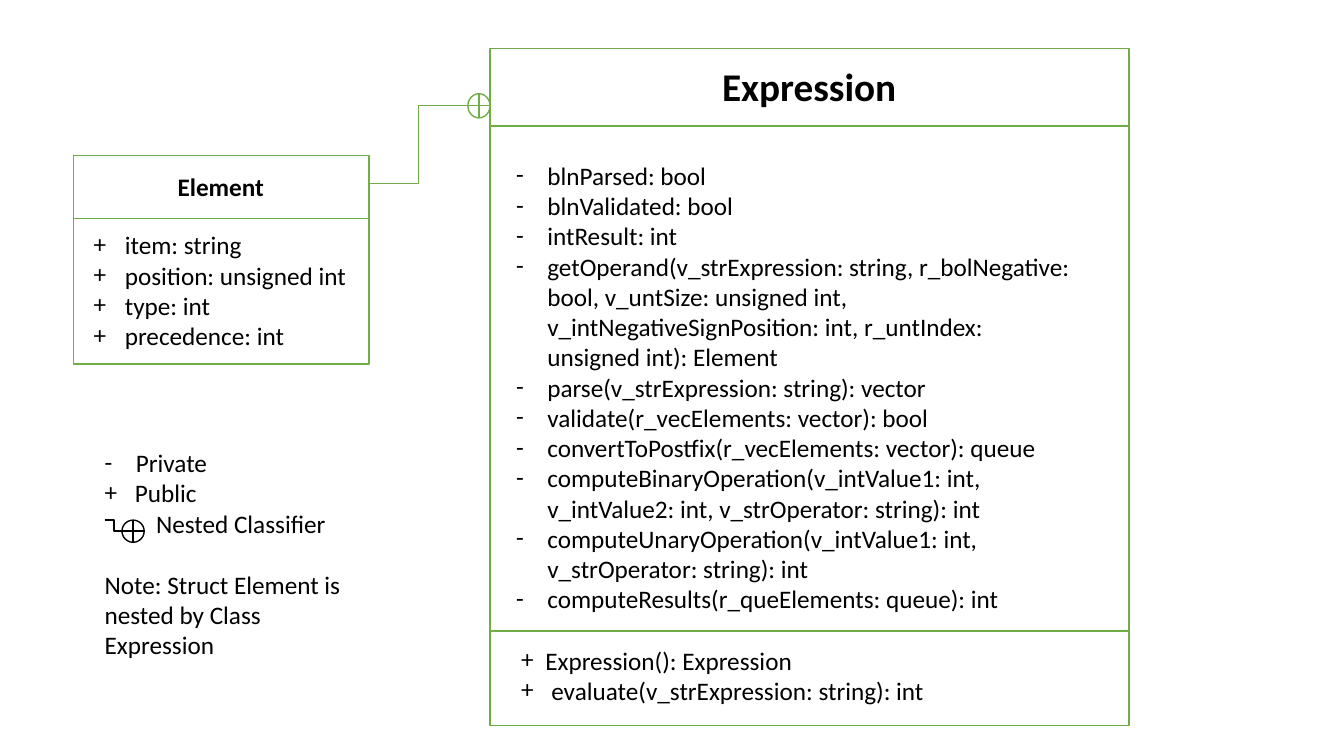
"""Build a UML class slide for an expression evaluator."""
import pptx
import pptx.util
import pptx.oxml
import pptx.oxml.ns
import pptx.dml.color
import pptx.enum.shapes
import pptx.enum.text

Inches = pptx.util.Inches
Pt = pptx.util.Pt
Shape = pptx.enum.shapes.MSO_SHAPE
Connector = pptx.enum.shapes.MSO_CONNECTOR
Align = pptx.enum.text.PP_ALIGN
COLOURS = {"frame": "70AD47", "paper": "FFFFFF", "ink": "000000"}
FONT = "Calibri"
HANG = 0.31

PRIVATE_MEMBERS = [
    "blnParsed: bool",
    "blnValidated: bool",
    "intResult: int",
    "getOperand(v_strExpression: string, r_bolNegative:\vbool, v_untSize: unsigned int,"
    "\vv_intNegativeSignPosition: int, r_untIndex:\vunsigned int): Element",
    "parse(v_strExpression: string): vector",
    "validate(r_vecElements: vector): bool",
    "convertToPostfix(r_vecElements: vector): queue",
    "computeBinaryOperation(v_intValue1: int,\vv_intValue2: int, v_strOperator: string): int",
    "computeUnaryOperation(v_intValue1: int,\vv_strOperator: string): int",
    "computeResults(r_queElements: queue): int",
]
ELEMENT_FIELDS = ["item: string", "position: unsigned int", "type: int", "precedence: int"]


class Diagram:
    """Hold the page and draw UML parts on it."""

    def __init__(self, page):
        self.page = page

    def colour(self, name):
        return pptx.dml.color.RGBColor.from_string(COLOURS[name])

    def shape(self, kind, left, top, width, height, line="frame"):
        box = self.page.shapes.add_shape(
            kind, Inches(left), Inches(top), Inches(width), Inches(height))
        box.shadow.inherit = False
        box.fill.solid()
        box.fill.fore_color.rgb = self.colour("paper")
        box.line.color.rgb = self.colour(line)
        box.line.width = Pt(1)

    def connector(self, kind, start, end, line="frame"):
        link = self.page.shapes.add_connector(
            kind, *(Inches(length) for length in (*start, *end)))
        link.line.color.rgb = self.colour(line)
        link.line.width = Pt(1)
        properties = link._element.spPr
        properties.append(pptx.oxml.parse_xml(
            "<a:effectLst %s/>" % pptx.oxml.ns.nsdecls("a")))

    def style(self, para, size=18, bold=False, align=Align.LEFT):
        para.alignment = align
        para.font.name = FONT
        para.font.size = Pt(size)
        para.font.bold = bold
        para.font.color.rgb = self.colour("ink")

    def title(self, text, left, top, width, height):
        box = self.page.shapes.title
        box.left, box.top = Inches(left), Inches(top)
        box.width, box.height = Inches(width), Inches(height)
        self.page.shapes._spTree.append(box._element)
        box.text_frame.text = text
        box.text_frame.vertical_anchor = pptx.enum.text.MSO_ANCHOR.MIDDLE
        self.style(box.text_frame.paragraphs[0], 28, True, Align.CENTER)

    def text(self, items, left, top, width, height, bold=False, align=Align.LEFT):
        """Write items given as (text, bullet, indent, space before)."""
        box = self.page.shapes.add_textbox(
            Inches(left), Inches(top), Inches(width), Inches(height))
        frame = box.text_frame
        frame.word_wrap = True
        for index, (words, bullet, indent, gap) in enumerate(items):
            para = frame.add_paragraph() if index else frame.paragraphs[0]
            para.text = words
            self.style(para, bold=bold, align=align)
            para.space_before = Pt(gap)
            properties = para._p.get_or_add_pPr()
            properties.set("marL", str(Inches(indent)))
            if bullet:
                properties.set("indent", str(-Inches(indent)))
                for tag, name, value in (("buFont", "typeface", FONT),
                                         ("buChar", "char", bullet)):
                    properties.append(pptx.oxml.parse_xml('<a:%s %s %s="%s"/>' % (
                        tag, pptx.oxml.ns.nsdecls("a"), name, value)))

    def members(self, names, bullet, *place):
        self.text([(name, bullet, HANG, 0) for name in names], *place)


def main():
    deck = pptx.Presentation()
    deck.slide_width, deck.slide_height = Inches(13.33), Inches(7.5)
    diagram = Diagram(deck.slides.add_slide(deck.slide_layouts[5]))

    diagram.shape(Shape.RECTANGLE, 4.86, 0.48, 6.34, 6.72)
    diagram.shape(Shape.RECTANGLE, 4.86, 1.25, 6.34, 5.01)
    diagram.title("Expression", 5.02, 0.57, 6.01, 0.57)
    diagram.members(PRIVATE_MEMBERS, "-", 5.02, 1.54, 6.01, 4.64)
    diagram.text([("Expression(): Expression", "+", 0.24, 0),
                  ("evaluate(v_strExpression: string): int", "+", 0.3, 0)],
                 5.07, 6.35, 6.01, 0.71)

    diagram.shape(Shape.RECTANGLE, 0.73, 1.54, 2.93, 2.07)
    diagram.connector(Connector.STRAIGHT, (0.73, 2.17), (3.66, 2.17))
    diagram.text([("Element", None, 0, 0)], 0.94, 1.65, 2.5, 0.4, True, Align.CENTER)
    diagram.members(ELEMENT_FIELDS, "+", 0.83, 2.23, 2.75, 1.31)

    diagram.text([("Private", "-", HANG, 0),
                  ("Public", "+", 0.3, 0),
                  ("Nested Classifier", None, 0.51, 0),
                  ("Note: Struct Element is\vnested by Class\vExpression", None, 0, 22)],
                 0.94, 4.39, 3.07, 2.52)

    diagram.shape(Shape.FLOWCHART_OR, 4.64, 0.93, 0.22, 0.24)
    diagram.connector(Connector.ELBOW, (3.66, 1.82), (4.64, 1.05))
    diagram.connector(Connector.ELBOW, (1.04, 5.16), (1.22, 5.27), "ink")
    diagram.shape(Shape.FLOWCHART_OR, 1.21, 5.16, 0.22, 0.22, "ink")
    deck.save("out.pptx")


if __name__ == "__main__":
    main()
